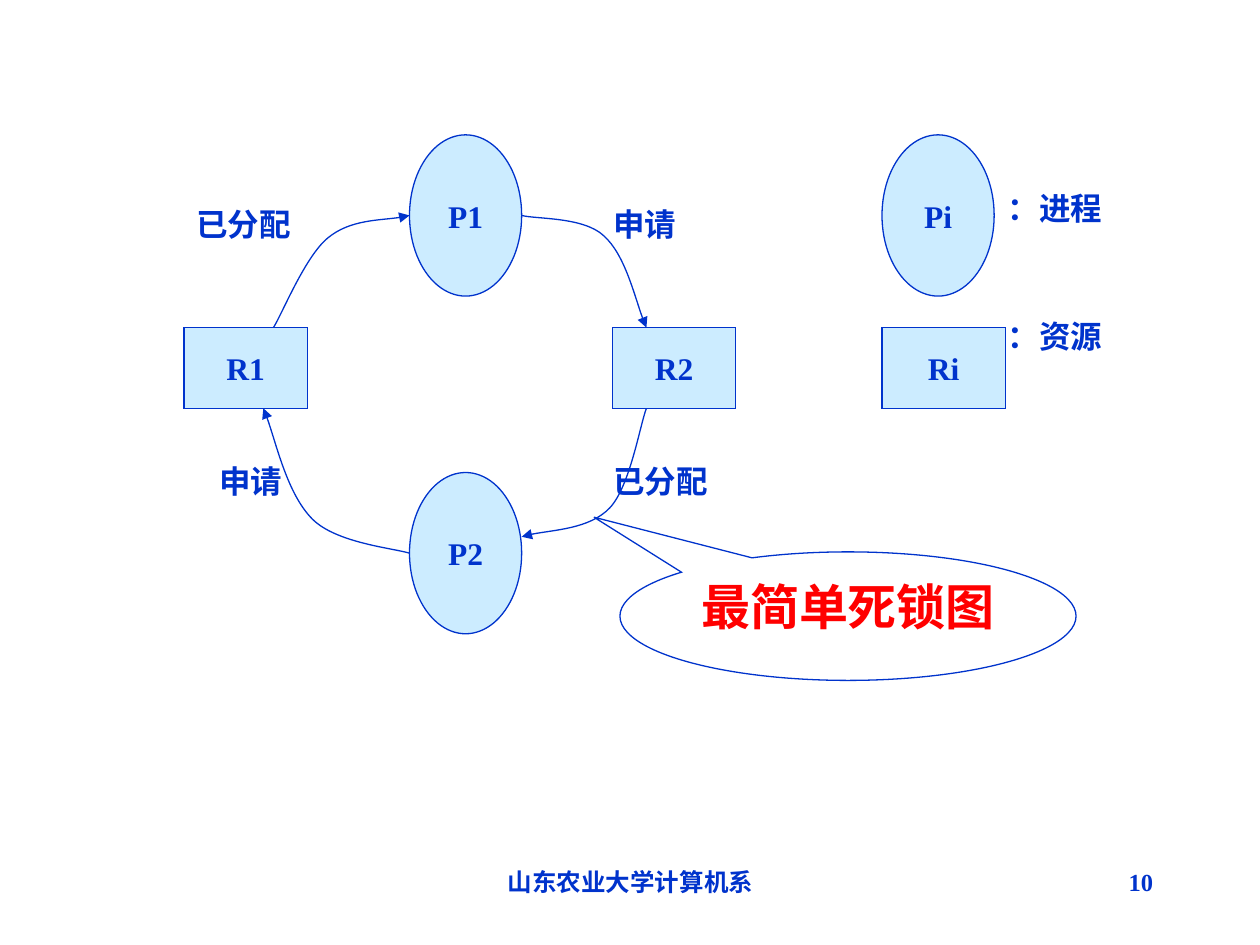
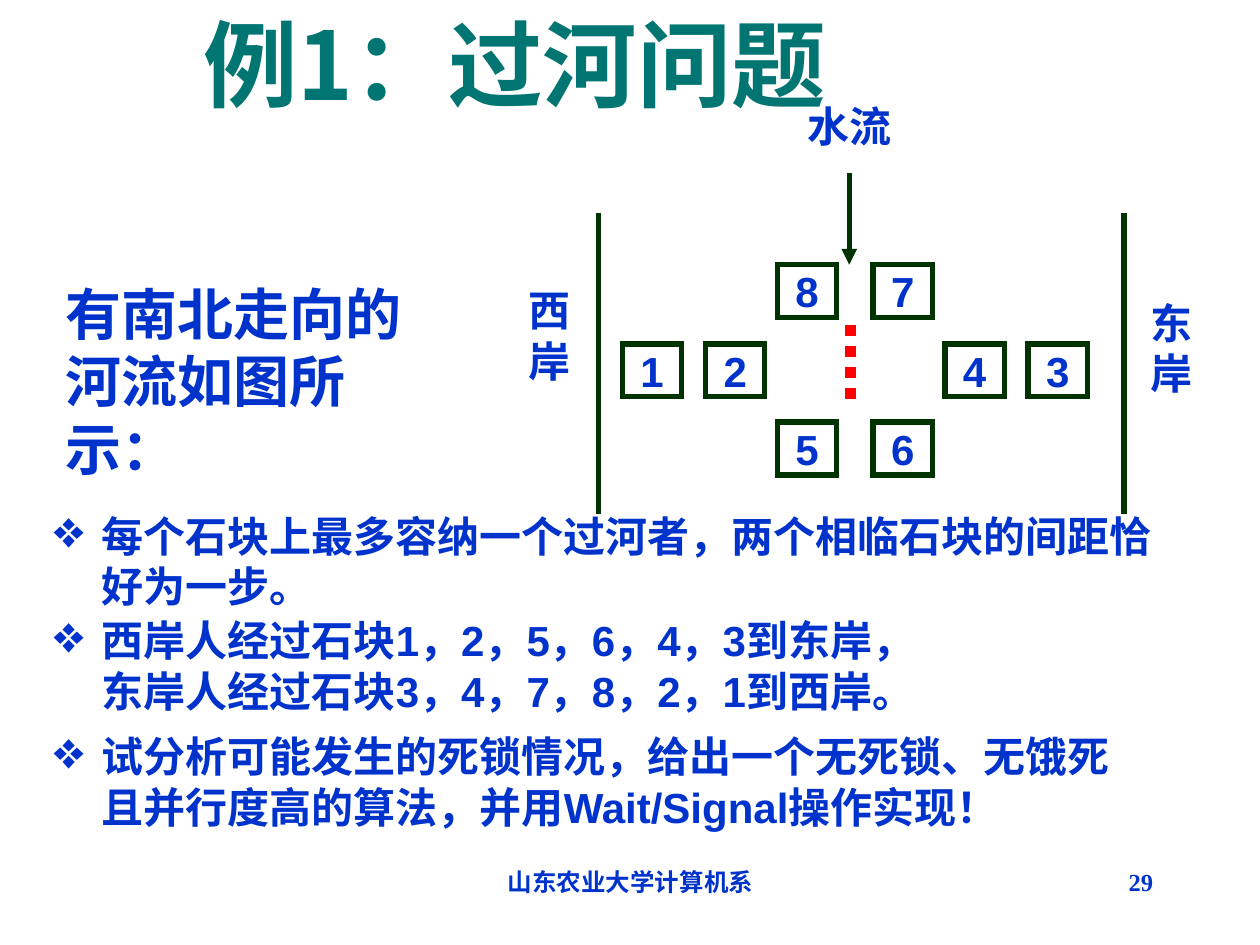
from dataclasses import dataclass

from lxml import etree
from pptx import Presentation
from pptx.dml.color import RGBColor
from pptx.enum.dml import MSO_LINE
from pptx.enum.shapes import MSO_CONNECTOR, MSO_SHAPE
from pptx.enum.text import MSO_ANCHOR, PP_ALIGN
from pptx.oxml.ns import qn
from pptx.util import Inches, Pt

LEFT, CENTER, RIGHT = PP_ALIGN.LEFT, PP_ALIGN.CENTER, PP_ALIGN.RIGHT
TOP, MIDDLE = MSO_ANCHOR.TOP, MSO_ANCHOR.MIDDLE
RECTANGLE, OVAL, CALLOUT = MSO_SHAPE.RECTANGLE, MSO_SHAPE.OVAL, MSO_SHAPE.OVAL_CALLOUT
STRAIGHT = MSO_CONNECTOR.STRAIGHT
DOTTED = MSO_LINE.ROUND_DOT


@dataclass(frozen=True)
class Theme:
    blue: str = "0033CC"
    pale_blue: str = "CCECFF"
    white: str = "FFFFFF"
    red: str = "FF0000"
    teal: str = "007572"
    green: str = "003300"
    serif: str = "Times New Roman"
    sans: str = "Arial"
    chinese: str = "Noto Sans CJK SC"
    footer_size: int = 14
    node_size: int = 18
    body_size: int = 24
    callout_size: int = 28
    lead_size: int = 32
    title_size: int = 54
    thin: float = 0.75
    thick: float = 3
    dotted: float = 6


theme = Theme()


def add_text(slide, box, text, size, font=theme.sans, color=theme.blue, align=LEFT,
             preset=None, anchor=TOP, wrap=True, bullet=None):
    bounds = [Inches(value) for value in box]
    if preset is None:
        shape = slide.shapes.add_textbox(*bounds)
    else:
        shape = slide.shapes.add_shape(preset, *bounds)
    frame = shape.text_frame
    frame.word_wrap = wrap
    frame.vertical_anchor = anchor
    paragraph = frame.paragraphs[0]
    paragraph.text = text
    paragraph.alignment = align
    properties = paragraph._p.get_or_add_pPr()
    properties.set("hangingPunct", "0")
    if bullet:
        properties.set("marL", str(Inches(0.38)))
        properties.set("indent", str(-Inches(0.38)))
        etree.SubElement(properties, qn("a:buSzPct"), val="125000")
        etree.SubElement(properties, qn("a:buChar"), char=bullet)
    paragraph.font.size = Pt(size)
    paragraph.font.bold = True
    paragraph.font.color.rgb = RGBColor.from_string(color)
    paragraph.font.name = font
    etree.SubElement(properties.find(qn("a:defRPr")), qn("a:ea"), typeface=theme.chinese)
    return shape


def style_line(shape, color, width, arrow=False):
    shape.line.color.rgb = RGBColor.from_string(color)
    shape.line.width = Pt(width)
    properties = shape._element.spPr
    outline = properties.get_or_add_ln()
    etree.SubElement(outline, qn("a:miter"), lim="800000")
    if arrow:
        etree.SubElement(outline, qn("a:tailEnd"), type="triangle")
    etree.SubElement(properties, qn("a:effectLst"))


presentation = Presentation()
presentation.slide_width = Inches(10)
presentation.slide_height = Inches(7.5)
slides = []
for number in ("10", "29"):
    slide = presentation.slides.add_slide(presentation.slide_layouts[6])
    add_text(slide, (3.42, 6.83, 3.17, 0.5), "山东农业大学计算机系", theme.footer_size, theme.serif, align=CENTER)
    add_text(slide, (7.17, 6.83, 2.08, 0.5), number, theme.footer_size, theme.serif, align=RIGHT)
    slides.append(slide)
deadlock_slide, river_slide = slides

process_size, resource_size = (0.89, 1.28), (0.98, 0.64)
for name, left, top, preset, size in (
    ("R1", 1.46, 2.6, RECTANGLE, resource_size),
    ("P1", 3.25, 1.07, OVAL, process_size),
    ("P2", 3.25, 3.75, OVAL, process_size),
    ("R2", 4.86, 2.6, RECTANGLE, resource_size),
    ("Pi", 7, 1.07, OVAL, process_size),
    ("Ri", 7, 2.6, RECTANGLE, resource_size),
):
    node = add_text(deadlock_slide, (left, top, *size), name, theme.node_size, theme.serif,
                    align=CENTER, preset=preset, anchor=MIDDLE, wrap=False)
    node.fill.solid()
    node.fill.fore_color.rgb = RGBColor.from_string(theme.pale_blue)
    style_line(node, theme.blue, theme.thin)

curves = (
    ((2.17, 2.6), (2.24, 2.49), (2.42, 2.04), (2.6, 1.89), (2.78, 1.74), (3.11, 1.75), (3.25, 1.71)),
    ((4.14, 1.71), (4.25, 1.74), (4.63, 1.72), (4.79, 1.87), (4.96, 2.02), (5.06, 2.45), (5.13, 2.6)),
    ((5.13, 3.24), (5.08, 3.37), (5, 3.86), (4.84, 4.03), (4.68, 4.2), (4.29, 4.21), (4.14, 4.26)),
    ((3.25, 4.39), (3.12, 4.35), (2.67, 4.31), (2.48, 4.12), (2.28, 3.92), (2.17, 3.42), (2.09, 3.24)),
)
for curve_points in curves:
    start, *controls = [(Inches(x), Inches(y)) for x, y in curve_points]
    builder = deadlock_slide.shapes.build_freeform(*start)
    builder.add_line_segments(controls, close=False)
    curve = builder.convert_to_shape()
    segments = list(curve._element.iter(qn("a:lnTo")))
    outline = segments[0].getparent()
    for first in range(0, len(segments), 3):
        bezier = etree.SubElement(outline, qn("a:cubicBezTo"))
        for segment in segments[first:first + 3]:
            bezier.append(segment[0])
            outline.remove(segment)
    curve.fill.background()
    style_line(curve, theme.blue, theme.thin, arrow=True)

for text, left, top in (
    ("已分配", 1.46, 1.58),
    ("申请", 4.77, 1.58),
    ("已分配", 4.77, 3.62),
    ("申请", 1.64, 3.62),
    ("：进程", 7.9, 1.45),
    ("：资源", 7.9, 2.47),
):
    width = 0.2 + 0.25 * len(text)
    add_text(deadlock_slide, (left, top, width, 0.4), text, theme.node_size, theme.serif, wrap=False)

callout = add_text(deadlock_slide, (4.92, 4.38, 3.62, 1.02), "最简单死锁图", theme.callout_size,
                   theme.serif, theme.red, CENTER, CALLOUT)
callout.adjustments[0] = -0.557
callout.adjustments[1] = -0.77
callout.fill.solid()
callout.fill.fore_color.rgb = RGBColor.from_string(theme.white)
style_line(callout, theme.blue, theme.thin)

add_text(river_slide, (0, 0, 8.17, 1), "例1：过河问题", theme.title_size, theme.chinese, theme.teal, CENTER)
add_text(river_slide, (0.42, 2.17, 3.25, 1.17), "有南北走向的河流如图所示：", theme.lead_size)
for text, top, width in (
    ("每个石块上最多容纳一个过河者，两个相临石块的间距恰好为一步。", 4, 9),
    ("西岸人经过石块1，2，5，6，4，3到东岸，\n东岸人经过石块3，4，7，8，2，1到西岸。", 4.83, 9),
    ("试分析可能发生的死锁情况，给出一个无死锁、无饿死且并行度高的算法，并用Wait/Signal操作实现！", 5.75, 8.83),
):
    add_text(river_slide, (0.33, top, width, 0.9), text, theme.body_size, bullet="❖")

for text, box in (
    ("西岸", (4.08, 2.21, 0.57, 0.9)),
    ("东岸", (9.01, 2.31, 0.57, 0.9)),
    ("水流", (5.98, 0.75, 1.52, 0.5)),
):
    add_text(river_slide, box, text, theme.body_size, align=CENTER)

for name, left, top in (
    ("1", 4.94, 2.73), ("2", 5.6, 2.73), ("5", 6.17, 3.35), ("6", 6.93, 3.35),
    ("8", 6.17, 2.1), ("7", 6.93, 2.1), ("4", 7.5, 2.73), ("3", 8.16, 2.73),
):
    stone = add_text(river_slide, (left, top, 0.47, 0.42), name, theme.body_size, align=CENTER,
                     preset=RECTANGLE, anchor=MIDDLE, wrap=False)
    stone.fill.background()
    style_line(stone, theme.green, theme.thick)

for x, top, bottom, color, width, arrow, dash in (
    (4.75, 1.69, 4.08, theme.green, theme.thick, False, None),
    (8.92, 1.69, 4.08, theme.green, theme.thick, False, None),
    (6.74, 1.37, 2.1, theme.green, theme.thick, True, None),
    (6.75, 2.58, 3.24, theme.red, theme.dotted, False, DOTTED),
):
    line = river_slide.shapes.add_connector(STRAIGHT, Inches(x), Inches(top), Inches(x), Inches(bottom))
    style_line(line, color, width, arrow)
    if dash:
        line.line.dash_style = dash

presentation.save("out.pptx")
